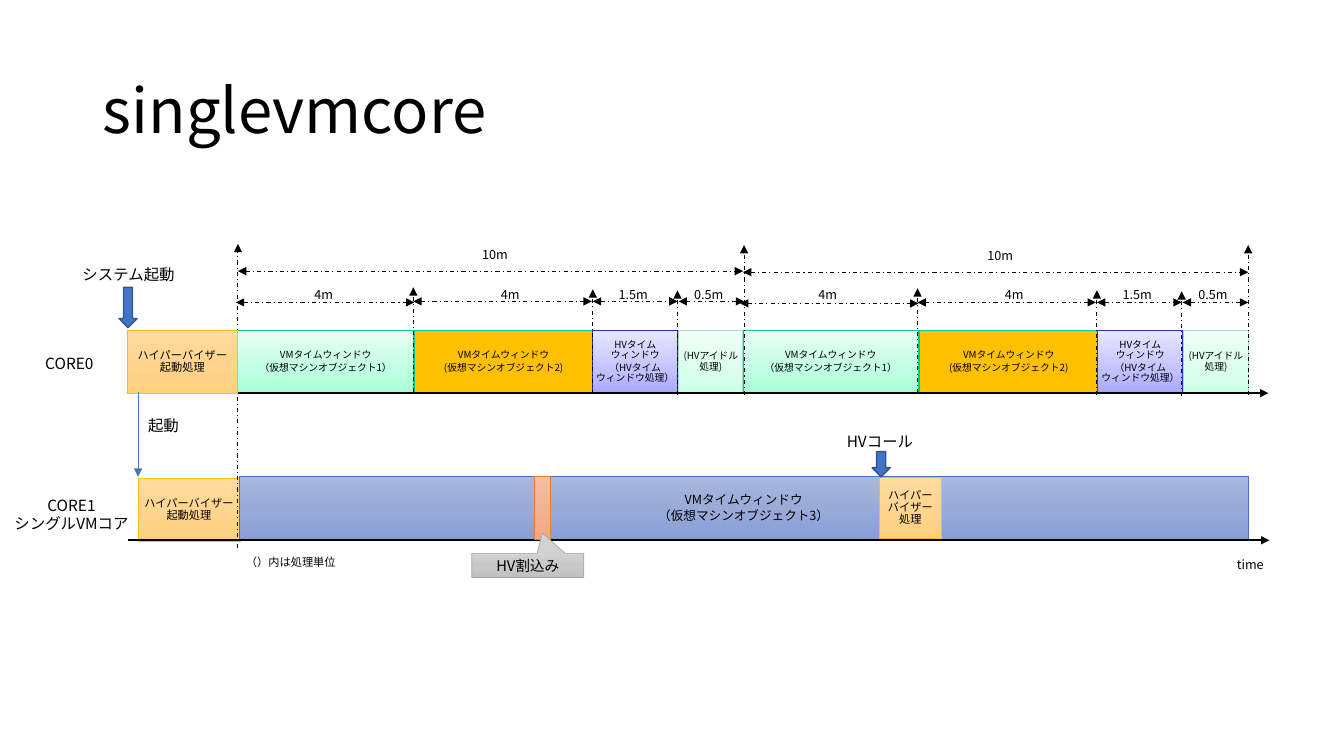
from dataclasses import dataclass

import lxml.etree as etree
import pptx
import pptx.dml.color
import pptx.enum.dml
import pptx.enum.shapes
import pptx.enum.text
import pptx.oxml.ns
import pptx.util

qn = pptx.oxml.ns.qn
Pt = pptx.util.Pt
Align = pptx.enum.text.PP_ALIGN
Anchor = pptx.enum.text.MSO_ANCHOR
Kind = pptx.enum.shapes.MSO_SHAPE


def rgb(code):
    """Turn a hex code into a colour."""
    return pptx.dml.color.RGBColor.from_string(code)


@dataclass(frozen=True)
class Paint:
    """Fill stops, line colour, line width, middle stop and angle."""
    stops: tuple
    line: str
    width: float = 0.5
    mid: int = 50
    angle: int = 90


@dataclass(frozen=True)
class Theme:
    """Font, type sizes and colours."""
    font: str = "Noto Sans CJK JP"
    ink: str = "000000"
    blue: str = "4472C4"
    title: float = 44
    label: float = 11
    call: float = 10.5
    mark: float = 9
    note: float = 8
    tiny: float = 7
    boot: Paint = Paint(("FFDB9E", "FFD590", "FFD07C"), "FFC000")
    vm1: Paint = Paint(("A5FFD6", "BFFFE2", "E7FFF3"), "00C896", 0.75, 35, 270)
    vm2: Paint = Paint(("FFC000",), "00C896", 0.75)
    hv: Paint = Paint(("A7A7FF", "C1C1FF", "E7E7FF"), "2E2ECB", 0.75, 35, 270)
    idle: Paint = Paint(("CCFFE8", "DAFFEE", "F1FFF8"), "A5DEC6", 0.75, 35, 270)
    vm3: Paint = Paint(("A8B7DF", "9AABD9", "889ED7"), "4472C4")
    irq: Paint = Paint(("F7BDA5", "F5B196", "F8A582"), "ED7D31")
    grey: Paint = Paint(("D2D2D2", "C8C8C8", "C0C0C0"), "A5A5A5")
    arrow: Paint = Paint(("4472C4",), "325491", 1)


class Board:
    """Draws on one slide; a grid cell is a tenth of an inch."""

    def __init__(self, deck, theme):
        """Add a blank slide."""
        self.theme = theme
        self.shapes = deck.slides.add_slide(deck.slide_layouts[6]).shapes

    def place(self, *cells):
        """Turn grid cells into lengths."""
        return [pptx.util.Inches(cell / 10) for cell in cells]

    def letter(self, shape, paras, size, tight=True, align=Align.CENTER,
               anchor=Anchor.MIDDLE, wrap=False):
        """Fill a shape with paragraphs; a newline is a line break."""
        frame = shape.text_frame
        frame.word_wrap = wrap
        frame.vertical_anchor = anchor
        for num, text in enumerate(paras):
            para = frame.add_paragraph() if num else frame.paragraphs[0]
            para.alignment = align
            if tight:
                para.line_spacing = 0.9
                para.space_before = Pt(size * 0.2)
            for row, part in enumerate(text.split("\n")):
                if row:
                    para.add_line_break()
                run = para.add_run()
                run.text = part
                run.font.size = Pt(size)
                run.font.name = self.theme.font
                run.font.color.rgb = rgb(self.theme.ink)
                east = etree.SubElement(run.font._element, qn("a:ea"))
                east.set("typeface", self.theme.font)

    def text(self, box, paras, size, **style):
        """Add a text box."""
        style = {"anchor": Anchor.TOP, **style}
        self.letter(self.shapes.add_textbox(*self.place(*box)), paras, size, **style)

    def label(self, box, *paras, align=Align.LEFT, wrap=False, size=None):
        """Add a loosely spaced label."""
        self.text(box, paras, size or self.theme.label, tight=False,
                  align=align, wrap=wrap)

    def block(self, box, paint, paras=(), size=8, kind=Kind.RECTANGLE, **style):
        """Add a painted shape, with text if given."""
        shape = self.shapes.add_shape(kind, *self.place(*box))
        shape.shadow.inherit = False
        shape.line.color.rgb = rgb(paint.line)
        shape.line.width = Pt(paint.width)
        if len(paint.stops) == 1:
            shape.fill.solid()
            shape.fill.fore_color.rgb = rgb(paint.stops[0])
        else:
            self.blend(shape, paint)
        if paras:
            self.letter(shape, paras, size, **style)
        return shape

    def blend(self, shape, paint):
        """Give a shape a three-stop gradient."""
        shape.fill.gradient()
        shape.fill.gradient_angle = 360 - paint.angle
        stops = shape._element.spPr.find(qn("a:gradFill")).find(qn("a:gsLst"))
        for old in list(stops):
            stops.remove(old)
        for pos, code in zip((0, paint.mid, 100), paint.stops):
            stop = etree.SubElement(stops, qn("a:gs"), pos=str(pos * 1000))
            etree.SubElement(stop, qn("a:srgbClr"), val=code)

    def line(self, ends, width=0.75, dash=True, both=False, color=None):
        """Add an arrow, with a head at one end or both."""
        line = self.shapes.add_connector(
            pptx.enum.shapes.MSO_CONNECTOR.STRAIGHT, *self.place(*ends))
        line.line.color.rgb = rgb(color or self.theme.ink)
        line.line.width = Pt(width)
        if dash:
            line.line.dash_style = pptx.enum.dml.MSO_LINE.DASH_DOT
        props = line._element.spPr
        for tag in ("a:headEnd", "a:tailEnd")[0 if both else 1:]:
            etree.SubElement(props.find(qn("a:ln")), qn(tag), type="triangle")
        etree.SubElement(props, qn("a:effectLst"))


deck = pptx.Presentation()
deck.slide_width, deck.slide_height = pptx.util.Inches(13.33), pptx.util.Inches(7.5)
theme = Theme()
board = Board(deck, theme)

BOOT = ["ハイパーバイザー\n起動処理"]
TALL = 6.2
TOP0, TOP1 = 32.8, 47.3
START, PERIOD = 23.6, 50.1

# Each window: left, width, paint, text, span from, span to, span row, label left, span
windows = [
    (23.6, 17.4, theme.vm1, ["VMタイムウィンドウ", "（仮想マシンオブジェクト1）"],
     23.4, 41.1, 30, 28.8, "4m"),
    (41.1, 17.7, theme.vm2, ["VMタイムウィンドウ", "(仮想マシンオブジェクト2)"],
     41, 58.7, 29.9, 47.3, "4m"),
    (58.8, 8.4, theme.hv, ["HVタイム\nウィンドウ", "（HVタイム\nウィンドウ処理）"],
     58.8, 67.2, 29.9, 59.5, "1.5m"),
    (67.3, 6.4, theme.idle, ["(HVアイドル\n処理)"], 67.3, 73.8, 29.9, 67, "0.5m"),
]
# Window borders: column and top row
borders = [(41, 28.5), (58.8, 28.7), (67.2, 28.8)]

board.text((9.2, 4, 115, 14.5), ["singlevmcore"], theme.title,
           align=Align.LEFT, anchor=Anchor.MIDDLE, wrap=True)
board.block((13.7, 47.5, 10.1, TALL), theme.boot, BOOT, theme.note)

for turn in range(2):
    move, step, drop = turn * PERIOD, turn * 50, turn * 0.1
    for left, wide, paint, paras, *_ in windows:
        board.block((left + move, TOP0, wide, TALL), paint, paras, theme.tiny)
    for *_, first, last, row, left, span in windows:
        board.line((first + step, row + drop, last + step, row + drop), both=True)
        board.text((left + step, 28.1, 6.6, 2.9), [span], theme.mark)
    for col, top in borders:
        board.line((col + step, top + 10.4 + drop, col + step, top + drop))
    row = 26.9 + drop
    board.line((START + move, row, START + move + PERIOD, row), both=True)
    board.text((45.8 + move, 24.2 + drop, 6.6, 2.9), ["10m"], theme.mark)

board.line((12.6, 39, 125.8, 39), 1.5, dash=False)
for col, low, top in ((23.6, 54.4, 24.2), (73.8, 39.2, 24.3), (123.8, 39.2, 24.3)):
    board.line((col, low, col, top))

board.block((23.7, TOP1, 100.1, TALL), theme.vm3,
            ["VMタイムウィンドウ", "（仮想マシンオブジェクト3）"], theme.mark)
board.line((12.7, 53.6, 125.9, 53.6), 1.5, dash=False)
board.text((120.7, 54.9, 6.6, 2.9), ["time"], theme.mark)
board.label((23.4, 54.6, 11, 2.4), "（）内は処理単位", size=theme.note)

board.block((12.6, TOP0, 11, TALL), theme.boot, BOOT, theme.note)
board.block((11.8, 28.5, 1.8, 4), theme.arrow, kind=Kind.DOWN_ARROW)
board.label((83, 42.4, 8.8, 2.9), "HVコール", wrap=True)
board.line((13.7, 38.9, 13.7, TOP1), 0.5, dash=False, color=theme.blue)
board.label((13.7, 40.8, 5.1, 2.9), "起動")
board.label((3.5, 34.6, 7.2, 2.9), "CORE0")
board.label((0.3, 48.7, 13.6, 4.7), "CORE1", "シングルVMコア",
            align=Align.CENTER, wrap=True)

board.block((53, TOP1, 1.6, TALL), theme.irq)
call = board.block((46.8, 54.9, 11.1, 2.4), theme.grey, ["HV割込み"], theme.call,
                   kind=Kind.RECTANGULAR_CALLOUT, anchor=Anchor.TOP)
call.adjustments[0], call.adjustments[1] = 0.13, -1.34
board.block((87.2, 47.4, 6.2, 6), theme.boot,
            ["ハイパー\nバイザー\n処理"], theme.note)
board.block((86.5, 44.8, 1.8, 2.5), theme.arrow, kind=Kind.DOWN_ARROW)
board.label((7.2, 25.8, 11.3, 2.9), "システム起動")

deck.save("out.pptx")
